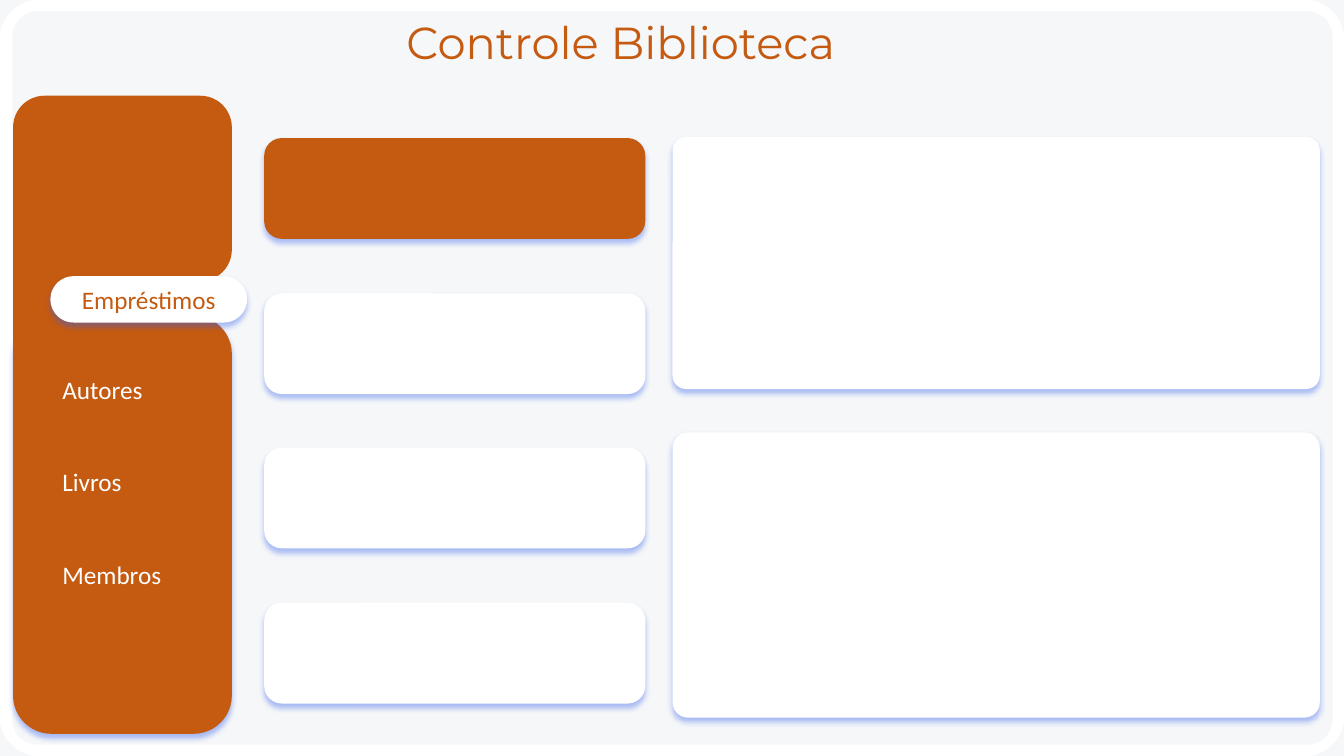
from dataclasses import dataclass

from lxml.etree import SubElement
from pptx import Presentation
from pptx.dml.color import RGBColor
from pptx.enum.shapes import MSO_SHAPE
from pptx.enum.text import MSO_ANCHOR, MSO_AUTO_SIZE, PP_ALIGN
from pptx.oxml.ns import qn
from pptx.shapes.autoshape import Shape
from pptx.slide import Slide
from pptx.util import Emu, Pt

EMU_PER_PX = 9144
ORANGE = "C55A11"
WHITE = "FFFFFF"
MIST = "F5F7F9"
SHADOW_BLUE = "3661EB"


@dataclass(frozen=True)
class Panel:
    left: int
    top: int
    width: int
    height: int
    fill: str
    rounding: float = 0
    outlined: bool = False
    shadowed: bool = False


def px(length: int) -> Emu:
    return Emu(length * EMU_PER_PX)


def colour(value: str) -> RGBColor:
    return RGBColor.from_string(value)


def cast_shadow(box: Shape) -> None:
    effects = box._element.spPr.find(qn("a:effectLst"))
    shadow = SubElement(effects, qn("a:outerShdw"), blurRad=str(Pt(4)), dist=str(Pt(3)),
                        dir="5400000", algn="t", rotWithShape="0")
    tint = SubElement(shadow, qn("a:srgbClr"), val=SHADOW_BLUE)
    SubElement(tint, qn("a:alpha"), val="40000")


def draw_panel(page: Slide, panel: Panel) -> Shape:
    kind = MSO_SHAPE.ROUNDED_RECTANGLE if panel.rounding else MSO_SHAPE.RECTANGLE
    box = page.shapes.add_shape(kind, px(panel.left), px(panel.top),
                                px(panel.width), px(panel.height))
    if panel.rounding:
        box.adjustments[0] = panel.rounding
    box.fill.solid()
    box.fill.fore_color.rgb = colour(panel.fill)
    if panel.outlined:
        box.line.color.rgb = colour(panel.fill)
        box.line.width = Pt(1)
    else:
        box.line.fill.background()
    box.shadow.inherit = False
    if panel.shadowed:
        cast_shadow(box)
    return box


def write(box: Shape, text: str, size: int, font: str, ink: str,
          alignment: PP_ALIGN = PP_ALIGN.LEFT,
          anchor: MSO_ANCHOR = MSO_ANCHOR.TOP) -> None:
    frame = box.text_frame
    frame.text = text
    frame.word_wrap = True
    frame.auto_size = MSO_AUTO_SIZE.NONE
    frame.vertical_anchor = anchor
    para = frame.paragraphs[0]
    para.alignment = alignment
    span = para.runs[0]
    span.font.size = Pt(size)
    span.font.name = font
    span.font.color.rgb = colour(ink)


BACKDROP = [
    Panel(0, 0, 1333, 750, MIST, outlined=True),
    Panel(0, 0, 1333, 750, WHITE, 0.054, outlined=True),
    Panel(13, 12, 1308, 726, MIST, 0.033, outlined=True),
]
CARD_FIRST_TOP, CARD_LAST_TOP = 137, 598
CARD_FILLS = [ORANGE, WHITE, WHITE, WHITE]
CARDS = [
    Panel(262, round(CARD_FIRST_TOP + index * (CARD_LAST_TOP - CARD_FIRST_TOP) / 3),
          378, 100, fill, 0.175, shadowed=True)
    for index, fill in enumerate(CARD_FILLS)
]
CHART_AREAS = [
    Panel(667, 429, 642, 283, WHITE, 0.054, shadowed=True),
    Panel(667, 136, 642, 250, WHITE, 0.054, shadowed=True),
]
SIDEBAR = [
    Panel(13, 313, 217, 415, ORANGE, 0.175, shadowed=True),
    Panel(13, 95, 217, 184, ORANGE, 0.17),
    Panel(13, 203, 84, 184, ORANGE, 0.115),
]
ACTIVE_TAB = Panel(50, 274, 195, 46, WHITE, 0.5, shadowed=True)
MENU = ["Autores", "Livros", "Membros"]
MENU_TOP, MENU_PITCH = 366, 92


def main() -> None:
    deck = Presentation()
    deck.slide_width, deck.slide_height = px(1333), px(750)
    page = deck.slides.add_slide(deck.slide_layouts[5])

    for panel in BACKDROP + CARDS + CHART_AREAS + SIDEBAR:
        draw_panel(page, panel)

    title = page.shapes.title
    title.left, title.top, title.width, title.height = px(393), px(10), px(536), px(64)
    write(title, "Controle Biblioteca", 32, "Montserrat", ORANGE)
    page.shapes._spTree.append(title._element)

    tab = draw_panel(page, ACTIVE_TAB)
    write(tab, "Empréstimos", 18, "Calibri", ORANGE, PP_ALIGN.CENTER, MSO_ANCHOR.MIDDLE)

    for index, label in enumerate(MENU):
        box = page.shapes.add_textbox(px(52), px(MENU_TOP + index * MENU_PITCH),
                                      px(154), px(40))
        write(box, label, 18, "Calibri", WHITE)

    deck.save("out.pptx")


if __name__ == "__main__":
    main()
